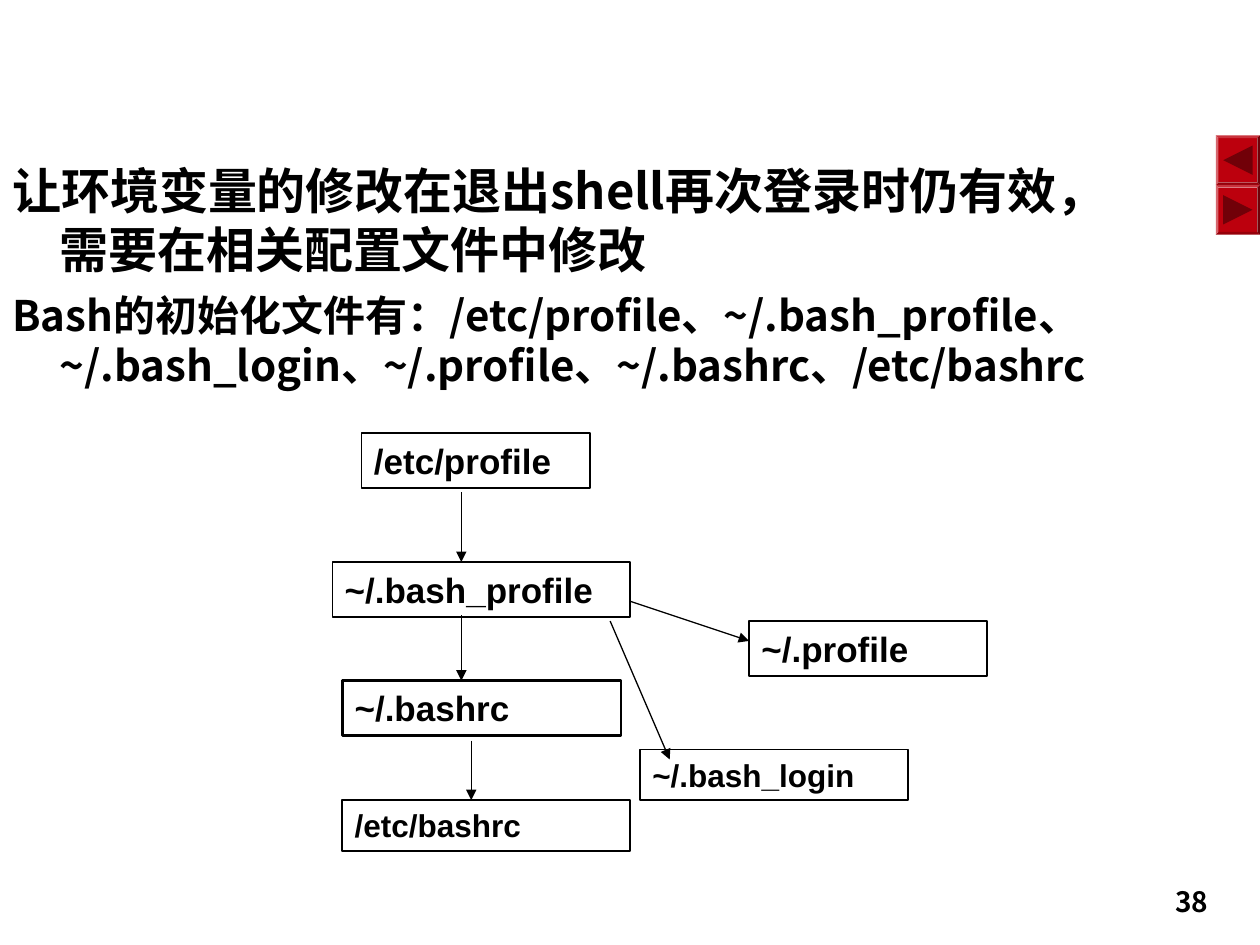
from dataclasses import dataclass

from lxml.etree import SubElement
from pptx import Presentation
from pptx.dml.color import RGBColor as Rgb
from pptx.enum.shapes import MSO_CONNECTOR as Link, MSO_SHAPE as Shape
from pptx.enum.text import MSO_ANCHOR as Anchor, PP_ALIGN as Align
from pptx.oxml.ns import qn
from pptx.util import Cm, Pt


@dataclass(frozen=True)
class Theme:
    ink: Rgb = Rgb(0, 0, 0)
    button: Rgb = Rgb(0xBC, 0x00, 0x0D)
    button_sign: Rgb = Rgb(0x71, 0x00, 0x08)
    body_face: str = "Noto Sans CJK SC"
    file_face: str = "Arial"
    number_size: int = 16
    large_file: int = 20
    small_file: int = 18
    arrow_width: float = 0.75


theme = Theme()

STATEMENTS = [
    ("让环境变量的修改在退出shell再次登录时仍有效，需要在相关配置文件中修改", 28, 7),
    ("Bash的初始化文件有：/etc/profile、~/.bash_profile、~/.bash_login、"
     "~/.profile、~/.bashrc、/etc/bashrc", 24, 6),
]
PAGE_NUMBER = "38"
FILES = [
    ("/etc/profile", 7.29, 8.73, 4.6, theme.large_file, 1),
    ("~/.bash_profile", 6.7, 11.33, 6, theme.large_file, 0.75),
    ("~/.bashrc", 6.9, 13.72, 5.62, theme.large_file, 1.5),
    ("/etc/bashrc", 6.9, 16.13, 5.8, theme.small_file, 1),
    ("~/.bash_login", 12.9, 15.11, 5.4, theme.small_file, 1),
    ("~/.profile", 15.1, 12.52, 4.8, theme.large_file, 1),
]
FILE_HEIGHTS = {theme.large_file: 1.11, theme.small_file: 1.02}
ARROWS = [
    ((9.3, 9.92), (9.3, 11.33)),
    ((9.3, 12.4), (9.3, 13.72)),
    ((9.5, 14.93), (9.5, 16.13)),
    ((12.3, 12.52), (13.5, 15.31)),
    ((12.7, 12.12), (15.1, 12.92)),
]
BUTTON_LEFT, BUTTON_TOP, BUTTON_WIDTH, BUTTON_HEIGHT = 24.51, 2.73, 0.89, 1
SIGN_INSET, SIGN_WIDTH, SIGN_HEIGHT = 0.15, 0.59, 0.59
BUTTON_DIRECTIONS = ["back", "forward"]


def style(paragraph, face, size):
    font = paragraph.font
    font.name, font.size, font.bold = face, Pt(size), True
    font.color.rgb = theme.ink
    defaults = paragraph._p.get_or_add_pPr().find(qn("a:defRPr"))
    SubElement(defaults, qn("a:ea"), typeface=face)


def add_button(slide, direction, top):
    button = slide.shapes.add_shape(
        Shape.BEVEL, Cm(BUTTON_LEFT), Cm(top), Cm(BUTTON_WIDTH), Cm(BUTTON_HEIGHT))
    button.adjustments[0] = 0.06
    left = BUTTON_LEFT + SIGN_INSET
    right = left + SIGN_WIDTH
    tip, base = (left, right) if direction == "back" else (right, left)
    middle = top + BUTTON_HEIGHT / 2
    outline = slide.shapes.build_freeform(Cm(tip), Cm(middle))
    outline.add_line_segments([
        (Cm(base), Cm(middle - SIGN_HEIGHT / 2)),
        (Cm(base), Cm(middle + SIGN_HEIGHT / 2)),
    ])
    sign = outline.convert_to_shape()
    for part, colour in ((button, theme.button), (sign, theme.button_sign)):
        part.shadow.inherit = False
        part.fill.solid()
        part.fill.fore_color.rgb = colour
        part.line.fill.background()


def add_statements(slide):
    frame = slide.shapes.add_textbox(Cm(0), Cm(3.12), Cm(23.44), Cm(15.24)).text_frame
    frame.word_wrap = True
    for index, (statement, size, gap) in enumerate(STATEMENTS):
        paragraph = frame.add_paragraph() if index else frame.paragraphs[0]
        paragraph.text = statement
        paragraph.space_before = Pt(gap)
        style(paragraph, theme.body_face, size)
        indents = paragraph._p.get_or_add_pPr()
        indents.set("marL", str(Cm(0.95)))
        indents.set("indent", str(-Cm(0.95)))


def add_page_number(slide):
    frame = slide.shapes.add_textbox(Cm(18.21), Cm(17.65), Cm(6.4), Cm(1.02)).text_frame
    frame.word_wrap = True
    frame.vertical_anchor = Anchor.MIDDLE
    number = frame.paragraphs[0]
    number.text = PAGE_NUMBER
    number.alignment = Align.RIGHT
    style(number, theme.body_face, theme.number_size)


def add_file(slide, name, left, top, width, size, border):
    box = slide.shapes.add_shape(
        Shape.RECTANGLE, Cm(left), Cm(top), Cm(width), Cm(FILE_HEIGHTS[size]))
    box.shadow.inherit = False
    box.fill.background()
    box.line.color.rgb = theme.ink
    box.line.width = Pt(border)
    box.text_frame.vertical_anchor = Anchor.TOP
    label = box.text_frame.paragraphs[0]
    label.text = name
    label.alignment = Align.LEFT
    style(label, theme.file_face, size)


def add_arrow(slide, start, end):
    arrow = slide.shapes.add_connector(
        Link.STRAIGHT, *(Cm(value) for value in start + end))
    arrow.line.color.rgb = theme.ink
    arrow.line.width = Pt(theme.arrow_width)
    SubElement(arrow.line._get_or_add_ln(), qn("a:tailEnd"), type="triangle")
    SubElement(arrow._element.spPr, qn("a:effectLst"))


def main():
    deck = Presentation()
    deck.slide_width, deck.slide_height = Cm(25.4), Cm(19.05)
    slide = deck.slides.add_slide(deck.slide_layouts[6])
    for index, direction in enumerate(BUTTON_DIRECTIONS):
        add_button(slide, direction, BUTTON_TOP + index * BUTTON_HEIGHT)
    add_page_number(slide)
    add_statements(slide)
    for file in FILES:
        add_file(slide, *file)
    for start, end in ARROWS:
        add_arrow(slide, start, end)
    deck.save("out.pptx")


if __name__ == "__main__":
    main()
